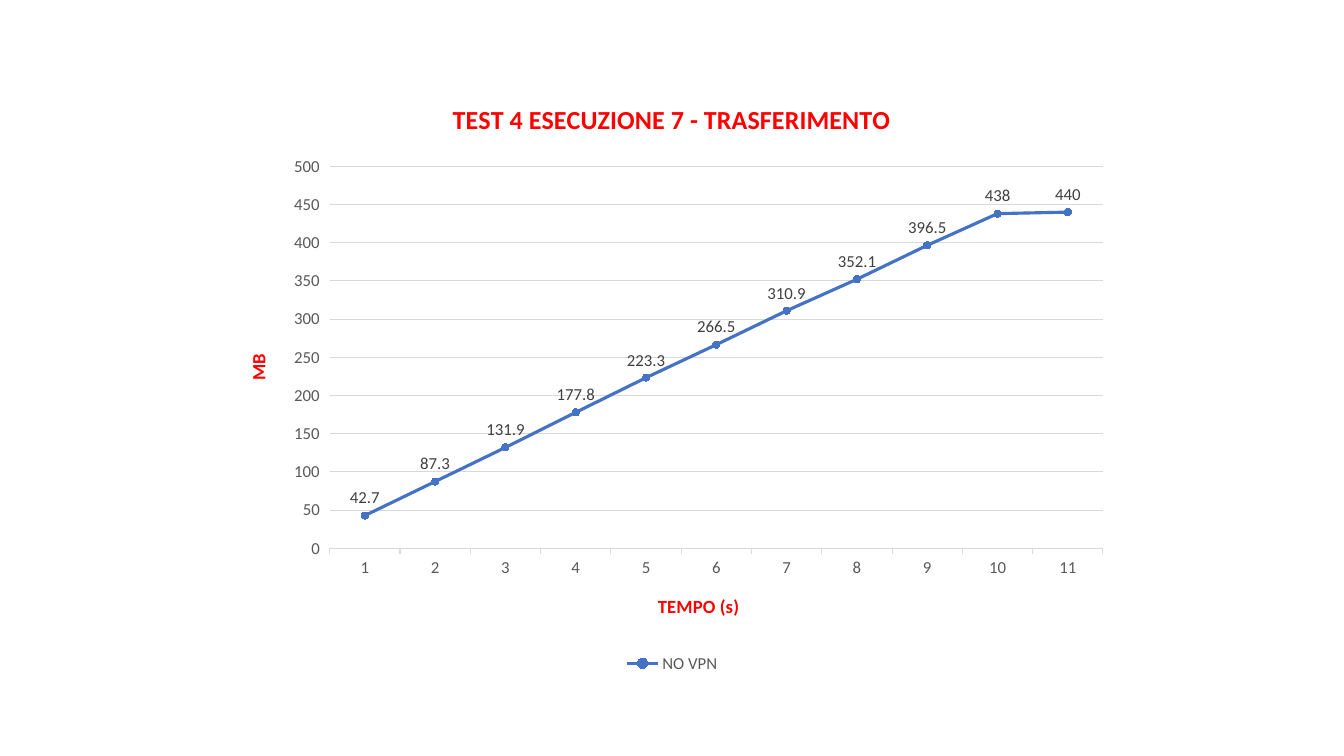
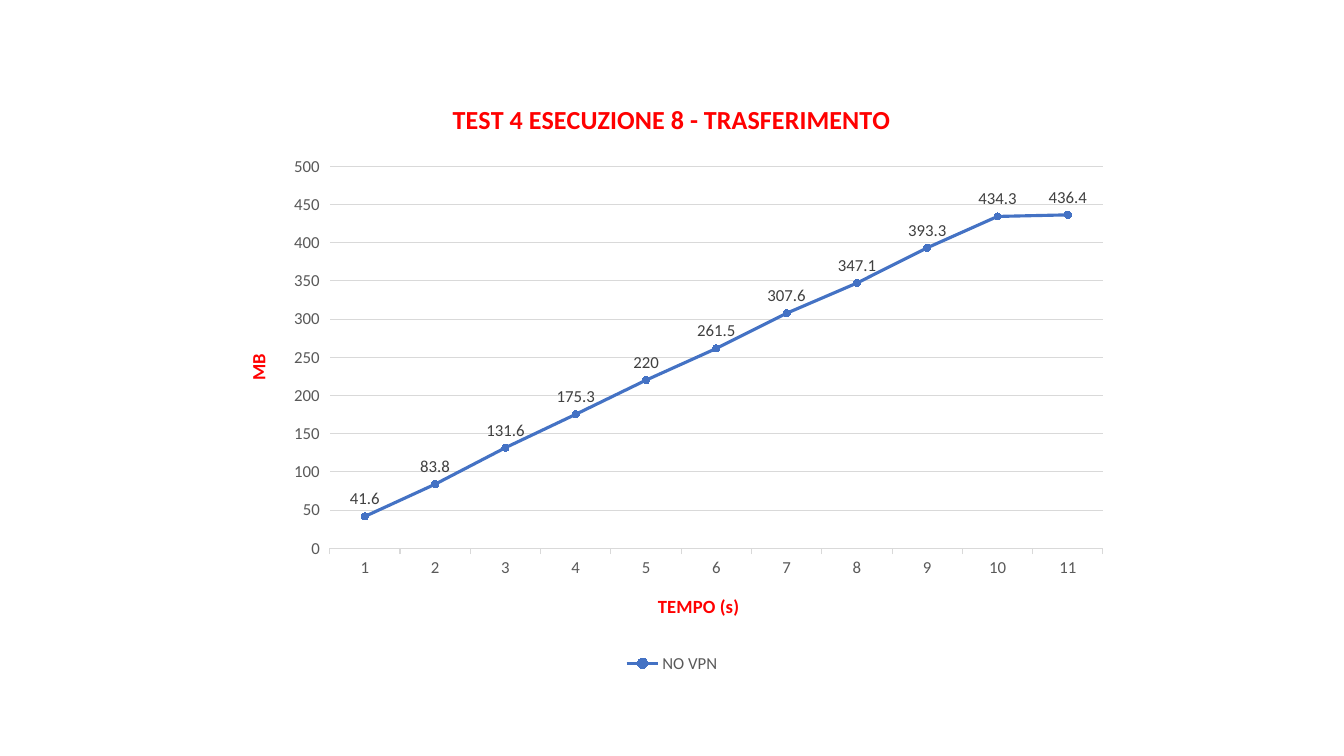
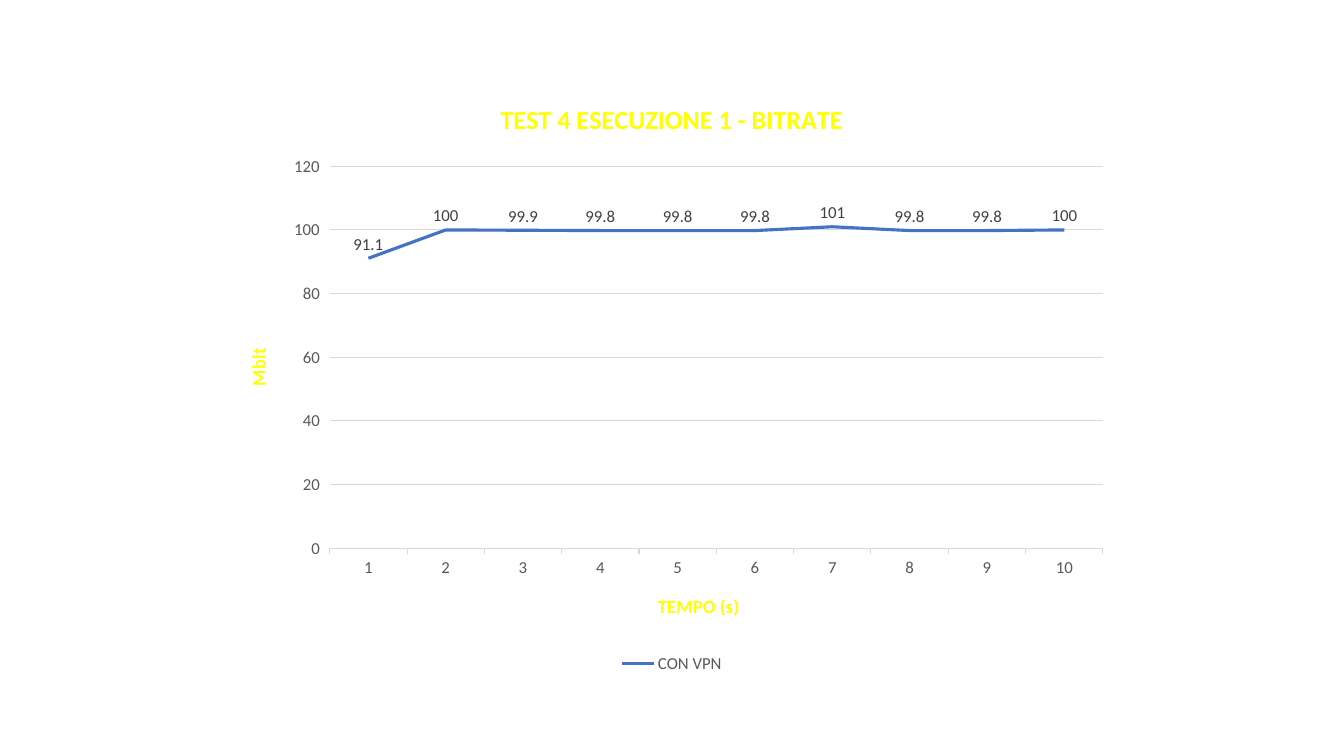
from lxml import etree
from pptx import Presentation
from pptx import util as u
from pptx.chart import data as chart_data
from pptx.dml.color import RGBColor
from pptx.enum import chart as c
from pptx.oxml import ns

RED = RGBColor(0xFF, 0x00, 0x00)
YELLOW = RGBColor(0xFF, 0xFF, 0x00)
BLUE = RGBColor(0x44, 0x72, 0xC4)
GRID_GREY = RGBColor(0xD9, 0xD9, 0xD9)
TEXT_GREY = RGBColor(0x59, 0x59, 0x59)
LABEL_GREY = RGBColor(0x40, 0x40, 0x40)
FONT = "Calibri"
TITLE_SIZE, AXIS_TITLE_SIZE, TEXT_SIZE = 18.6, 13.3, 12
CHART_BOX = [u.Inches(n) for n in (2.22, 0.79, 8.89, 5.93)]
PLOT_BOX = [u.Inches(n) for n in (1.05, 0.86, 7.67, 3.79)]

TESTS = [
    {"title": "TEST 4 ESECUZIONE 7 - TRASFERIMENTO", "unit": "MB", "series": "NO VPN",
     "accent": RED, "markers": True, "top": 500, "step": 50,
     "values": [42.7, 87.3, 131.9, 177.8, 223.3, 266.5, 310.9, 352.1, 396.5, 438, 440]},
    {"title": "TEST 4 ESECUZIONE 8 - TRASFERIMENTO", "unit": "MB", "series": "NO VPN",
     "accent": RED, "markers": True, "top": 500, "step": 50,
     "values": [41.6, 83.8, 131.6, 175.3, 220, 261.5, 307.6, 347.1, 393.3, 434.3, 436.4]},
    {"title": "TEST 4 ESECUZIONE 1 - BITRATE", "unit": "Mbit", "series": "CON VPN",
     "accent": YELLOW, "markers": False, "top": 120, "step": 20,
     "values": [91.1, 100, 99.9, 99.8, 99.8, 99.8, 101, 99.8, 99.8, 100]},
]


def set_font(font, color, size=TEXT_SIZE, bold=False):
    font.name, font.size, font.bold = FONT, u.Pt(size), bold
    font.color.rgb = color


def set_line(line, color, width):
    line.color.rgb = color
    line.width = u.Pt(width)


def write_title(title, words, color, size):
    run = title.text_frame.paragraphs[0].add_run()
    run.text = words
    set_font(run.font, color, size, True)


def place_plot(chart):
    plot_area = chart.element.find(".//" + ns.qn("c:plotArea"))
    layout = plot_area.find(ns.qn("c:layout"))
    if layout is None:
        layout = etree.Element(ns.qn("c:layout"))
        plot_area.insert(0, layout)
    manual = etree.SubElement(layout, ns.qn("c:manualLayout"))
    settings = {"layoutTarget": "inner", "xMode": "edge", "yMode": "edge"}
    for name, length, whole in zip("xywh", PLOT_BOX, CHART_BOX[2:] * 2):
        settings[name] = length / whole
    for name, value in settings.items():
        etree.SubElement(manual, ns.qn("c:" + name)).set("val", str(value))


def style_axes(chart, test):
    category_axis, value_axis = chart.category_axis, chart.value_axis
    for axis, words in ((category_axis, "TEMPO (s)"), (value_axis, test["unit"])):
        write_title(axis.axis_title, words, test["accent"], AXIS_TITLE_SIZE)
        axis.major_tick_mark = c.XL_TICK_MARK.OUTSIDE
        axis.minor_tick_mark = c.XL_TICK_MARK.NONE
        set_font(axis.tick_labels.font, TEXT_GREY)
    body = value_axis.axis_title.text_frame._txBody.find(ns.qn("a:bodyPr"))
    body.set("rot", "-5400000")
    body.set("vert", "horz")
    set_line(category_axis.format.line, GRID_GREY, 0.75)
    value_axis.format.line.fill.background()
    value_axis.minimum_scale, value_axis.maximum_scale = 0, test["top"]
    value_axis.major_unit = test["step"]
    set_line(value_axis.major_gridlines.format.line, GRID_GREY, 0.75)


def style_series(series, markers):
    series.smooth = False
    set_line(series.format.line, BLUE, 2.25)
    if markers:
        series.marker.style, series.marker.size = c.XL_MARKER_STYLE.CIRCLE, 5
        series.marker.format.fill.solid()
        series.marker.format.fill.fore_color.rgb = BLUE
        set_line(series.marker.format.line, BLUE, 0.75)
    labels = series.data_labels
    labels.show_value = True
    labels.position = c.XL_LABEL_POSITION.ABOVE
    set_font(labels.font, LABEL_GREY)


def add_test_chart(slide, test):
    data = chart_data.CategoryChartData()
    data.categories = [str(n) for n in range(1, len(test["values"]) + 1)]
    data.add_series(test["series"], test["values"])
    kind = c.XL_CHART_TYPE.LINE_MARKERS if test["markers"] else c.XL_CHART_TYPE.LINE
    chart = slide.shapes.add_chart(kind, *CHART_BOX, data).chart
    set_font(chart.font, TEXT_GREY)
    write_title(chart.chart_title, test["title"], test["accent"], TITLE_SIZE)
    chart.chart_title.include_text_in_layout = False
    chart.has_legend = True
    chart.legend.position = c.XL_LEGEND_POSITION.BOTTOM
    chart.legend.include_in_layout = False
    set_font(chart.legend.font, TEXT_GREY)
    chart.plots[0].vary_by_categories = False
    style_axes(chart, test)
    style_series(chart.plots[0].series[0], test["markers"])
    place_plot(chart)


def main():
    presentation = Presentation()
    presentation.slide_width, presentation.slide_height = u.Inches(13.33), u.Inches(7.5)
    for test in TESTS:
        slide = presentation.slides.add_slide(presentation.slide_layouts[6])
        add_test_chart(slide, test)
    presentation.save("out.pptx")


if __name__ == "__main__":
    main()
